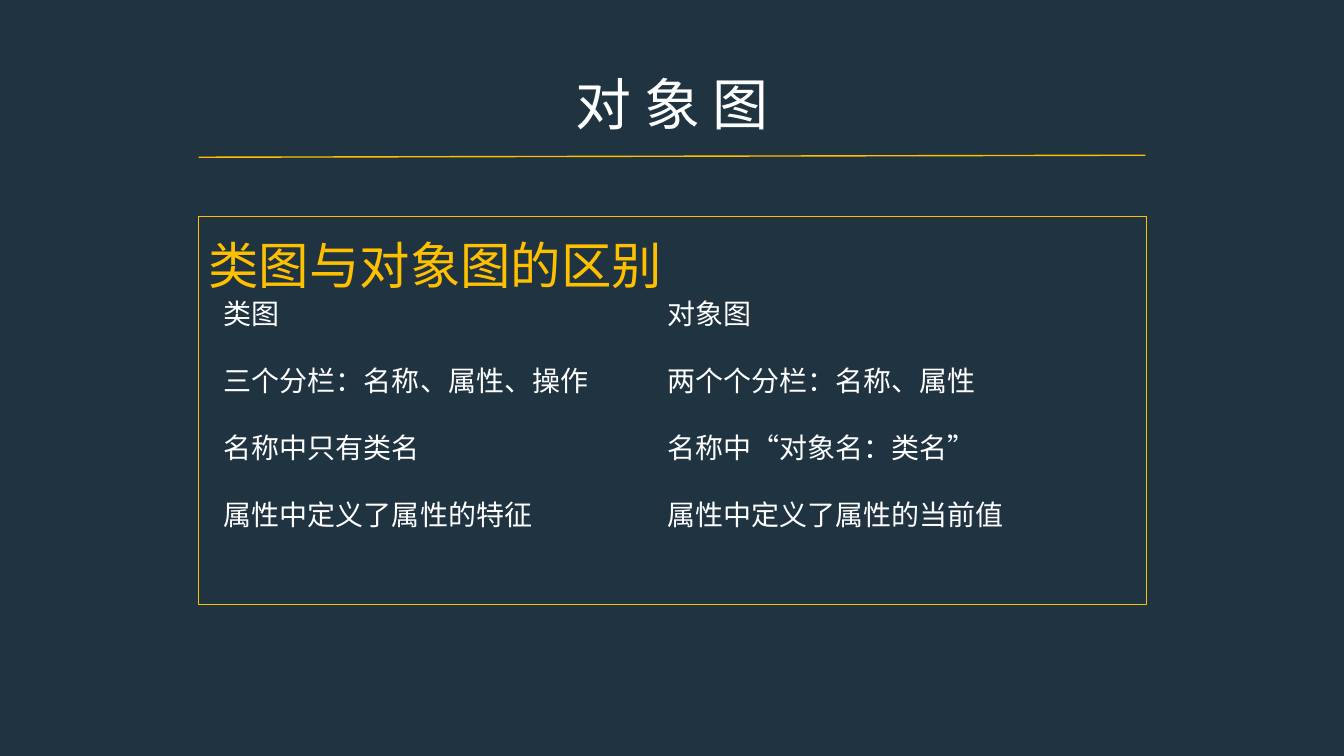
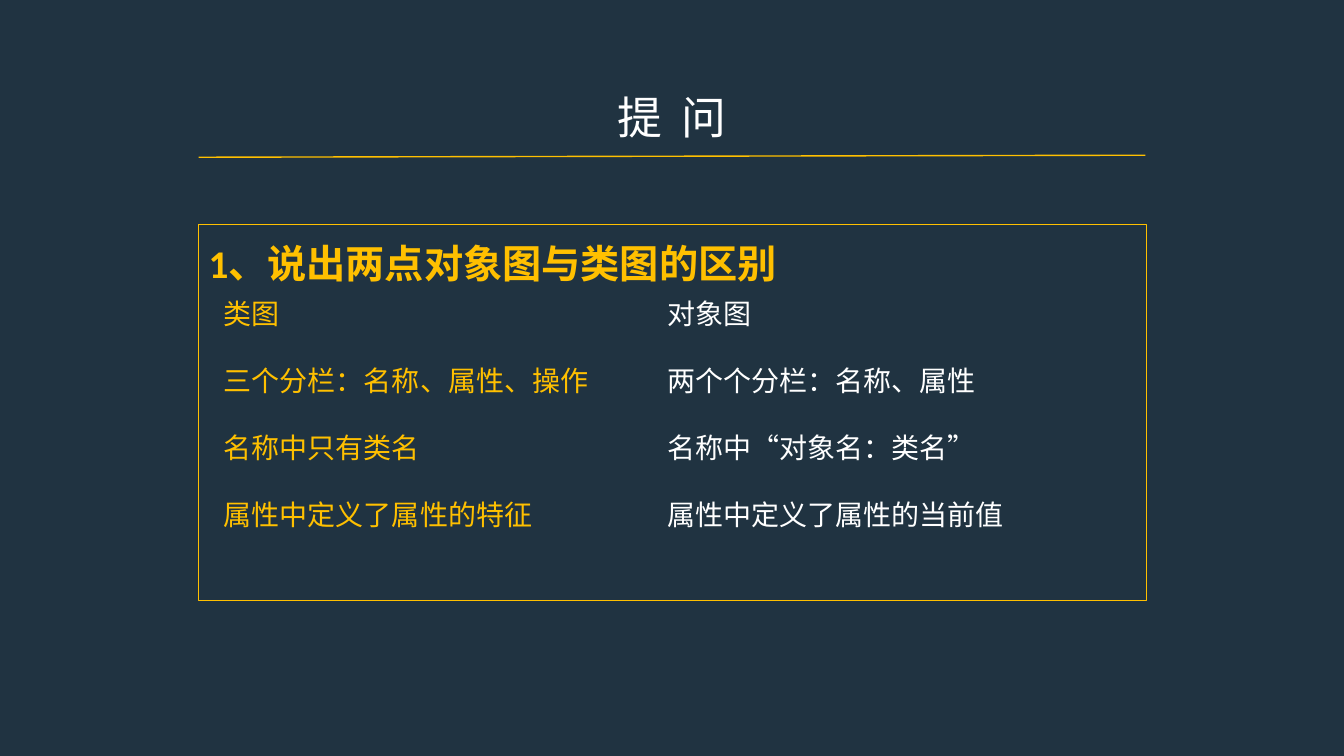
"""Build two slides that compare class diagrams with object diagrams."""
from dataclasses import dataclass

from lxml import etree
from pptx import Presentation
from pptx import util as u
from pptx.dml.color import RGBColor
from pptx.enum import shapes, text
from pptx.oxml import ns


@dataclass(frozen=True)
class Theme:
    """Colours, font and type sizes of the deck."""
    back: RGBColor = RGBColor(0x20, 0x33, 0x41)
    gold: RGBColor = RGBColor(0xFF, 0xC0, 0x00)
    white: RGBColor = RGBColor(0xFF, 0xFF, 0xFF)
    font: str = "Calibri"
    body: int = 20
    row_gap: int = 24
    line: int = 1


@dataclass(frozen=True)
class Box:
    """A rectangle in inches."""
    left: float
    top: float
    width: float
    height: float

    def place(self) -> tuple[u.Length, ...]:
        """Return the rectangle as lengths."""
        return tuple(map(u.Inches, (self.left, self.top, self.width, self.height)))


@dataclass(frozen=True)
class Column:
    """One side of the comparison."""
    box: Box
    rows: tuple[str, ...]


@dataclass(frozen=True)
class Page:
    """What differs from slide to slide."""
    title: str
    title_box: Box
    title_size: int
    heading: str
    panel: Box
    heading_size: int
    heading_bold: bool
    colors: tuple[RGBColor, RGBColor]


T = Theme()
COLUMNS = (
    Column(Box(2.12, 2.89, 3.85, 2.76),
           ("类图", "三个分栏:名称、属性、操作".replace(":", "："),
            "名称中只有类名", "属性中定义了属性的特征")),
    Column(Box(6.52, 2.89, 3.57, 2.46),
           ("对象图", "两个个分栏：名称、属性",
            "名称中“对象名：类名”", "属性中定义了属性的当前值")),
)
PAGES = (
    Page("对 象 图", Box(1.85, 0.64, 9.63, 0.77), 40, "类图与对象图的区别",
         Box(1.97, 2.15, 9.4, 3.85), 36, False, (T.white, T.white)),
    Page("提  问", Box(1.85, 0.84, 9.63, 0.64), 32, "1、说出两点对象图与类图的区别",
         Box(1.97, 2.23, 9.4, 3.73), 28, True, (T.gold, T.white)),
)


def write(tf, rows: tuple[str, ...], size: int, color: RGBColor,
          bold: bool = False, **layout) -> None:
    """Fill a text frame with one styled paragraph per row."""
    tf.vertical_anchor = text.MSO_ANCHOR.TOP
    for i, row in enumerate(rows):
        p = tf.paragraphs[0] if i == 0 else tf.add_paragraph()
        for name, value in {"alignment": text.PP_ALIGN.LEFT, **layout}.items():
            setattr(p, name, value)
        if i:
            p.space_before = u.Pt(T.row_gap)
        r = p.add_run()
        r.text = row
        style = {"name": T.font, "size": u.Pt(size), "bold": bold}
        for name, value in style.items():
            setattr(r.font, name, value)
        r.font.color.rgb = color


def outline(sp) -> None:
    """Give a shape or connector the gold line."""
    sp.line.color.rgb = T.gold
    sp.line.width = u.Pt(T.line)


def add_title(s, page: Page) -> None:
    """Place the title and the rule under it."""
    sp = s.shapes.title
    sp.left, sp.top, sp.width, sp.height = page.title_box.place()
    sp.text_frame.auto_size = text.MSO_AUTO_SIZE.NONE
    write(sp.text_frame, (page.title,), page.title_size, T.white,
          alignment=text.PP_ALIGN.CENTER)
    rule = s.shapes.add_connector(shapes.MSO_CONNECTOR.STRAIGHT,
                                  *map(u.Inches, (1.97, 1.56, 11.36, 1.54)))
    outline(rule)
    etree.SubElement(rule.element.spPr, ns.qn("a:effectLst"))


def add_panel(s, page: Page) -> None:
    """Draw the outlined panel with its heading."""
    sp = s.shapes.add_shape(shapes.MSO_SHAPE.RECTANGLE, *page.panel.place())
    sp.shadow.inherit = False
    sp.fill.background()
    outline(sp)
    write(sp.text_frame, (page.heading,), page.heading_size, T.gold,
          page.heading_bold, line_spacing=1.2)


def add_column(s, column: Column, color: RGBColor) -> None:
    """Add one column of the comparison."""
    tf = s.shapes.add_textbox(*column.box.place()).text_frame
    tf.word_wrap = False
    tf.auto_size = text.MSO_AUTO_SIZE.SHAPE_TO_FIT_TEXT
    write(tf, column.rows, T.body, color)


def main() -> None:
    """Build and save the deck."""
    prs = Presentation()
    prs.slide_width, prs.slide_height = u.Inches(13.33), u.Inches(7.5)
    fill = prs.slide_master.background.fill
    fill.solid()
    fill.fore_color.rgb = T.back
    layout = prs.slide_layouts.get_by_name("Title Only")
    for page in PAGES:
        s = prs.slides.add_slide(layout)
        add_title(s, page)
        add_panel(s, page)
        for column, color in zip(COLUMNS, page.colors):
            add_column(s, column, color)
    prs.save("out.pptx")


main()
